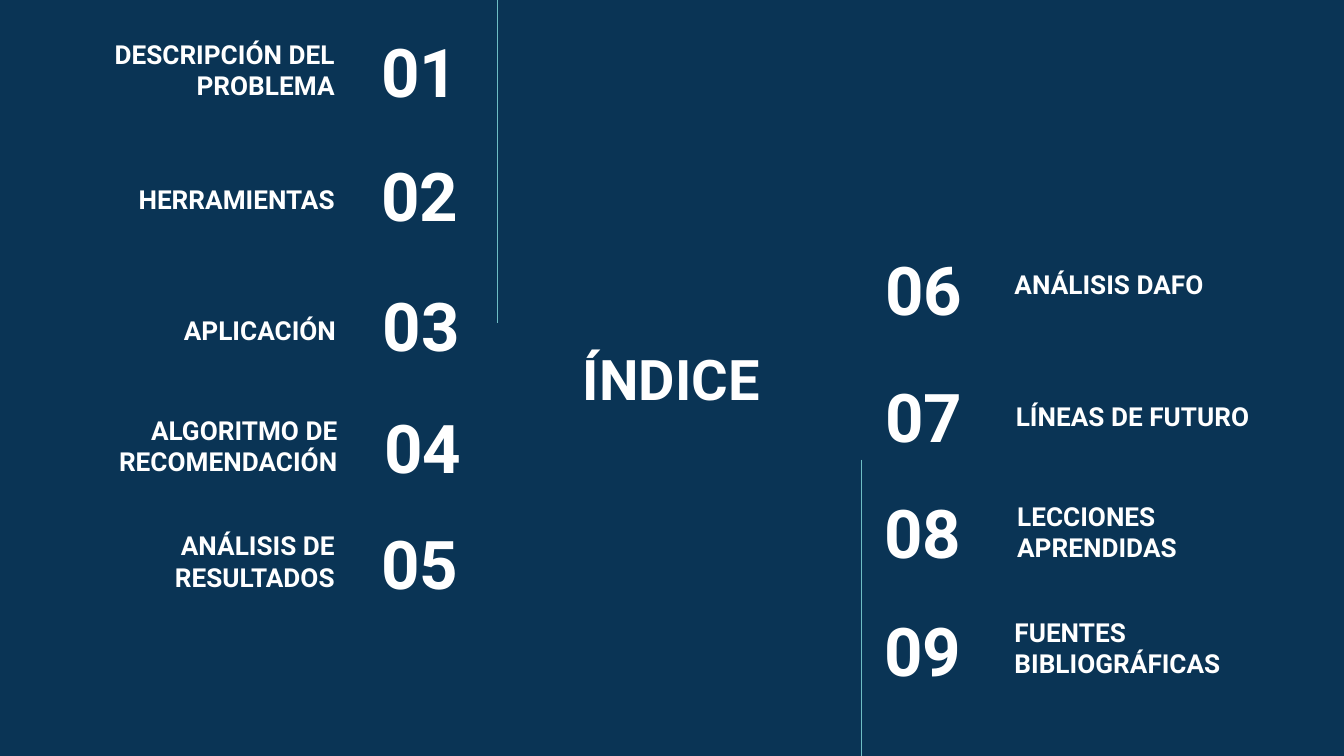
import lxml.etree
import pptx
import pptx.dml.color
import pptx.enum.shapes
import pptx.enum.text
import pptx.oxml.ns
import pptx.util

Inches = pptx.util.Inches
Align = pptx.enum.text.PP_ALIGN
Anchor = pptx.enum.text.MSO_ANCHOR

WIDTH = 10
HEIGHT = WIDTH * 9 / 16
ROW_HEIGHT = 0.63
LEFT_ENTRIES = [
    ("DESCRIPCIÓN DEL PROBLEMA", 0.43, 0.22, 0.21),
    ("HERRAMIENTAS", 0.43, 1.07, 1.13),
    ("APLICACIÓN", 0.44, 2.04, 2.1),
    ("ALGORITMO DE RECOMENDACIÓN", 0.45, 3.02, 3.01),
    ("ANÁLISIS DE RESULTADOS", 0.43, 3.88, 3.87),
]
RIGHT_ENTRIES = [
    ("ANÁLISIS DAFO", 7.45, 1.7, 6.49, 1.83),
    ("LÍNEAS DE FUTURO", 7.46, 2.68, 6.49, 2.78),
    ("LECCIONES\vAPRENDIDAS", 7.47, 3.66, 6.48, 3.64),
    ("FUENTES BIBLIOGRÁFICAS", 7.45, 4.52, 6.48, 4.52),
]


def colour(value):
    return pptx.dml.color.RGBColor.from_string(value)


class IndexSlide:
    """Hold the style and the current slide, and draw its elements."""

    background = "0A3455"
    text_colour = "FFFFFF"
    line_colour = "6EBDC4"
    font_name = "Roboto"

    def __init__(self, presentation):
        self.slide = presentation.slides.add_slide(presentation.slide_layouts[6])
        fill = self.slide.background.fill
        fill.solid()
        fill.fore_color.rgb = colour(self.background)

    def text(self, words, left, top, width, height, size, alignment, anchor=Anchor.MIDDLE):
        shape = self.slide.shapes.add_textbox(*map(Inches, (left, top, width, height)))
        frame = shape.text_frame
        margins = {f"margin_{side}": Inches(0.1) for side in ("left", "top", "right", "bottom")}
        for name, value in {"word_wrap": True, "vertical_anchor": anchor, **margins}.items():
            setattr(frame, name, value)
        paragraph = frame.paragraphs[0]
        paragraph.text = words
        paragraph.alignment = alignment
        font_format = {"name": self.font_name, "size": pptx.util.Pt(size), "bold": True}
        for run in paragraph.runs:
            for name, value in font_format.items():
                setattr(run.font, name, value)
            run.font.color.rgb = colour(self.text_colour)

    def label(self, words, left, top, alignment):
        self.text(words, left, top, 2.16, ROW_HEIGHT, 14, alignment, Anchor.BOTTOM)

    def number(self, value, left, top, width, alignment):
        self.text(f"{value:02}", left, top, width, ROW_HEIGHT, 36, alignment)

    def vertical_line(self, x, top, bottom):
        connector = self.slide.shapes.add_connector(
            pptx.enum.shapes.MSO_CONNECTOR.STRAIGHT, *map(Inches, (x, top, x, bottom))
        )
        connector.line.color.rgb = colour(self.line_colour)
        connector.line.width = pptx.util.Pt(0.75)
        properties = connector._element.spPr
        lxml.etree.SubElement(properties, pptx.oxml.ns.qn("a:effectLst"))


def main():
    presentation = pptx.Presentation()
    presentation.slide_width = Inches(WIDTH)
    presentation.slide_height = Inches(HEIGHT)
    index = IndexSlide(presentation)
    index.text("ÍNDICE", 3.7, 2.3, 2.59, 1.03, 30, Align.CENTER)
    index.vertical_line(3.7, 0, 2.4)
    index.vertical_line(6.41, 3.42, HEIGHT)
    for value, (words, left, top, number_top) in enumerate(LEFT_ENTRIES, 1):
        index.label(words, left, top, Align.RIGHT)
        index.number(value, left + 1.87, number_top, 1.21, Align.RIGHT)
    first_right = len(LEFT_ENTRIES) + 1
    for value, (words, left, top, number_left, number_top) in enumerate(RIGHT_ENTRIES, first_right):
        index.label(words, left, top, Align.LEFT)
        index.number(value, number_left, number_top, 1.17, Align.LEFT)
    presentation.save("out.pptx")


if __name__ == "__main__":
    main()
